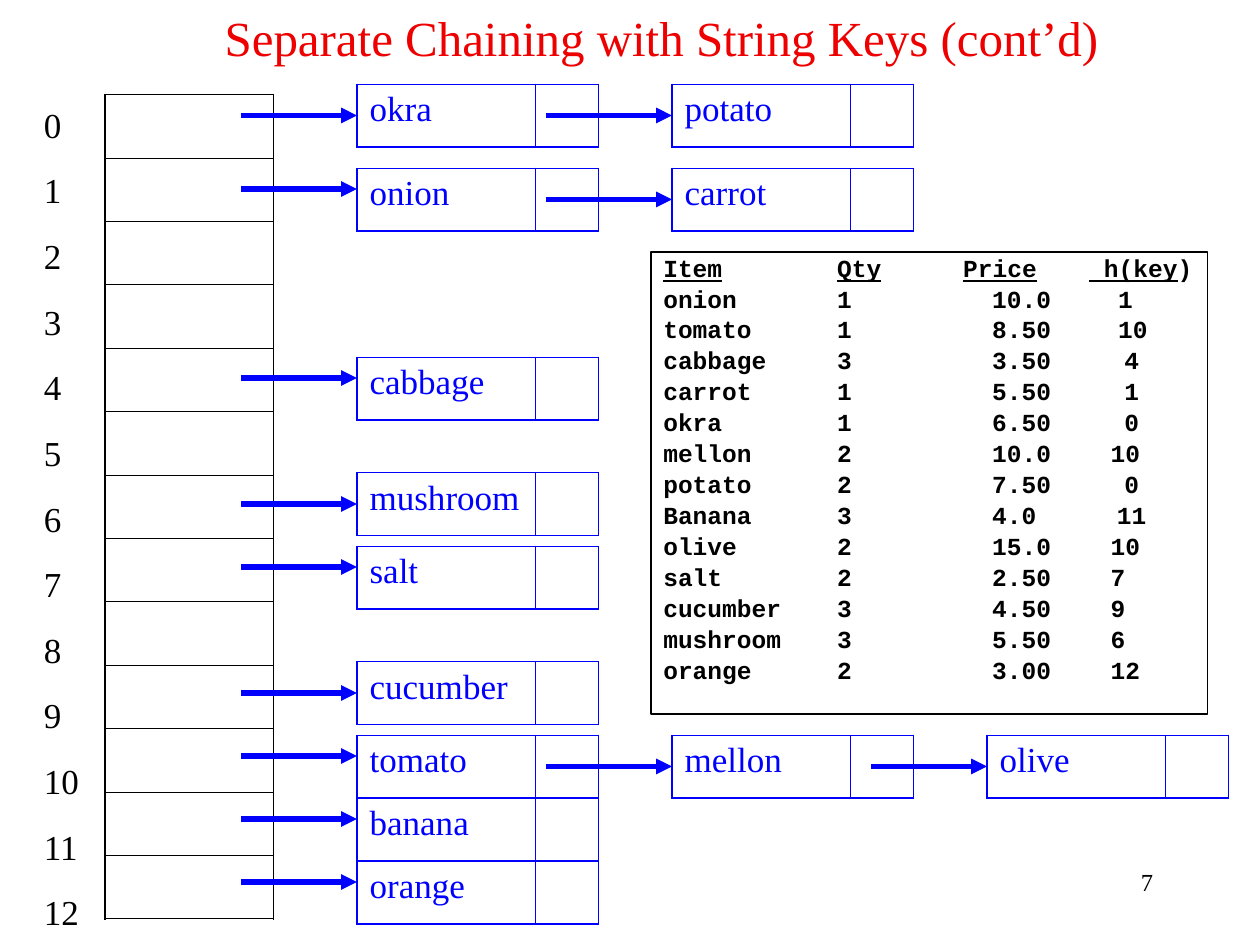
from pptx import Presentation
from pptx.dml.color import RGBColor
from pptx.enum.shapes import MSO_CONNECTOR, MSO_SHAPE
from pptx.enum.text import MSO_ANCHOR, PP_ALIGN
from pptx.oxml.ns import qn
from pptx.util import Emu, Inches, Pt
from lxml.etree import SubElement

SERIF, MONO = "Times New Roman", "Courier New"
BLACK, BLUE, RED = "000000", "0000FF", "EE0000"
THIN, THICK = 0.45, 1.08

CHAINS = {
    0: (8, ["okra", "potato"]),
    1: (16, ["onion", "carrot"]),
    4: (34, ["cabbage"]),
    6: (45, ["mushroom"]),
    7: (52, ["salt"]),
    9: (63, ["cucumber"]),
    10: (70, ["tomato", "mellon", "olive"]),
    11: (76, ["banana"]),
    12: (82, ["orange"]),
}

ITEMS = [
    ("onion", "1", "10.0", "1", 3.61),
    ("tomato", "1", "8.50", "10", 3.61),
    ("cabbage", "3", "3.50", "4", 3.66),
    ("carrot", "1", "5.50", "1", 3.66),
    ("okra", "1", "6.50", "0", 3.66),
    ("mellon", "2", "10.0", "10", 3.55),
    ("potato", "2", "7.50", "0", 3.66),
    ("Banana", "3", "4.0", "11", 3.6),
    ("olive", "2", "15.0", "10", 3.55),
    ("salt", "2", "2.50", "7", 3.55),
    ("cucumber", "3", "4.50", "9", 3.55),
    ("mushroom", "3", "5.50", "6", 3.55),
    ("orange", "2", "3.00", "12", 3.55),
]


def shade(text):
    """Turn a hex string into a colour."""
    return RGBColor.from_string(text)


class Deck:
    """Hold the style and the current slide, on a grid of 120 by 90 units."""

    def __init__(self):
        """Open a slide with a title."""
        self.show = Presentation()
        self.show.slide_width, self.show.slide_height = Inches(10), Inches(7.5)
        self.unit = self.show.slide_width / 120
        self.slide = self.show.slides.add_slide(self.show.slide_layouts[5])

    def size(self, *units):
        """Turn grid units into lengths."""
        return [Emu(round(n * self.unit)) for n in units]

    def run(self, para, text, size=20, color=BLACK, face=SERIF, bold=False, under=False):
        """Add one run of text."""
        run = para.add_run()
        run.text = text
        font = run.font
        font.size, font.name, font.bold, font.underline = Pt(size), face, bold, under
        font.color.rgb = shade(color)

    def lines(self, frame, count, gap=0):
        """Yield paragraphs with a gap between them."""
        for i in range(count):
            para = frame.add_paragraph() if i else frame.paragraphs[0]
            para.space_before = Pt(gap if i else 0)
            yield para

    def title(self, text, *box):
        """Place the title."""
        head = self.slide.shapes.title
        head.left, head.top, head.width, head.height = self.size(*box)
        head.text_frame.vertical_anchor = MSO_ANCHOR.MIDDLE
        para = head.text_frame.paragraphs[0]
        para.alignment = PP_ALIGN.CENTER
        self.run(para, text, 28, RED)

    def text(self, rows, *box, gap=0, size=20, align=PP_ALIGN.LEFT):
        """Add a text box with one paragraph a row."""
        frame = self.slide.shapes.add_textbox(*self.size(*box)).text_frame
        frame.word_wrap = True
        for para, row in zip(self.lines(frame, len(rows), gap), rows):
            para.alignment = align
            self.run(para, row, size)

    def edge(self, cell, color, **sides):
        """Draw the borders of a cell and clear its fill."""
        props = cell._tc.get_or_add_tcPr()
        for side in "LRTB":
            line = SubElement(props, qn(f"a:ln{side}"), w=str(Pt(sides[side])))
            fill = SubElement(line, qn("a:solidFill"))
            SubElement(fill, qn("a:srgbClr"), val=color)
        cell.fill.background()

    def table(self, rows, widths, left, top, height):
        """Add a plain table."""
        box = self.size(left, top, sum(widths), height)
        table = self.slide.shapes.add_table(rows, len(widths), *box).table
        table.first_row = table.horz_banding = False
        for col, width in zip(table.columns, self.size(*widths)):
            col.width = width
        return table

    def slots(self, count, *box):
        """Add the column of buckets."""
        table = self.table(count, [16], *box)
        for i in range(count):
            self.edge(table.cell(i, 0), BLACK, L=THICK, R=THIN,
                      T=THIN if i else THICK, B=THIN if i < count - 1 else THICK)

    def node(self, word, left, top):
        """Add a list node with a word and a link cell."""
        table = self.table(1, [17, 6], left, top, 6)
        word_cell, link = table.cell(0, 0), table.cell(0, 1)
        self.run(word_cell.text_frame.paragraphs[0], word, color=BLUE)
        self.edge(word_cell, BLUE, L=THICK, R=THIN, T=THIN, B=THICK)
        self.edge(link, BLUE, L=THIN, R=THIN, T=THIN, B=THICK)

    def arrow(self, start, end, row):
        """Add a level arrow."""
        line = self.slide.shapes.add_connector(
            MSO_CONNECTOR.STRAIGHT, *self.size(start, row, end, row))
        line.line.color.rgb, line.line.width = shade(BLUE), Pt(3)
        SubElement(line.line._get_or_add_ln(), qn("a:tailEnd"), type="triangle")
        SubElement(line._element.spPr, qn("a:effectLst"))

    def list(self, items, *box):
        """Add the framed list of items."""
        shape = self.slide.shapes.add_shape(MSO_SHAPE.RECTANGLE, *self.size(*box))
        shape.shadow.inherit = False
        shape.fill.background()
        shape.line.color.rgb, shape.line.width = shade(BLACK), Pt(0.75)
        frame = shape.text_frame
        frame.word_wrap, frame.vertical_anchor = True, MSO_ANCHOR.TOP
        style = dict(size=14, face=MONO, bold=True)
        head, *rest = self.lines(frame, len(items) + 1, 4.25)
        self.tabs(head, 1.38, 2.38, 3.38)
        for i, name in enumerate(["Item", "Qty", "Price", " h(key"]):
            if i:
                self.run(head, "\t", **style)
            self.run(head, name, under=True, **style)
        self.run(head, ")", **style)
        for para, (*row, stop) in zip(rest, items):
            self.tabs(para, 1.38, 2.61, stop)
            self.run(para, "\t".join(row), **style)

    def tabs(self, para, *stops):
        """Set line spacing, alignment and tab stops."""
        para.alignment, para.line_spacing = PP_ALIGN.JUSTIFY, 0.8
        stop_list = SubElement(para._p.get_or_add_pPr(), qn("a:tabLst"))
        for stop in stops:
            SubElement(stop_list, qn("a:tab"), pos=str(Inches(stop)), algn="l")


def main():
    """Build the slide."""
    deck = Deck()
    deck.title("Separate Chaining with String Keys (cont’d)", 12, 2, 102, 3)
    deck.slots(13, 10, 9, 78.5)
    deck.text([str(i) for i in range(13)], 3, 9.25, 6, 78, gap=13.5)
    for slot, (top, words) in CHAINS.items():
        for i, word in enumerate(words):
            deck.node(word, 34 + 30 * i, top)
        deck.arrow(23, 34, 12 + 6 * slot if slot else 11)
        for i in range(1, len(words)):
            deck.arrow(52 if i == 1 else 83, 34 + 30 * i, top + 3)
    deck.list(ITEMS, 62, 24, 53, 44)
    deck.text(["7"], 86, 82, 25, 6, size=14, align=PP_ALIGN.RIGHT)
    deck.show.save("out.pptx")


if __name__ == "__main__":
    main()
